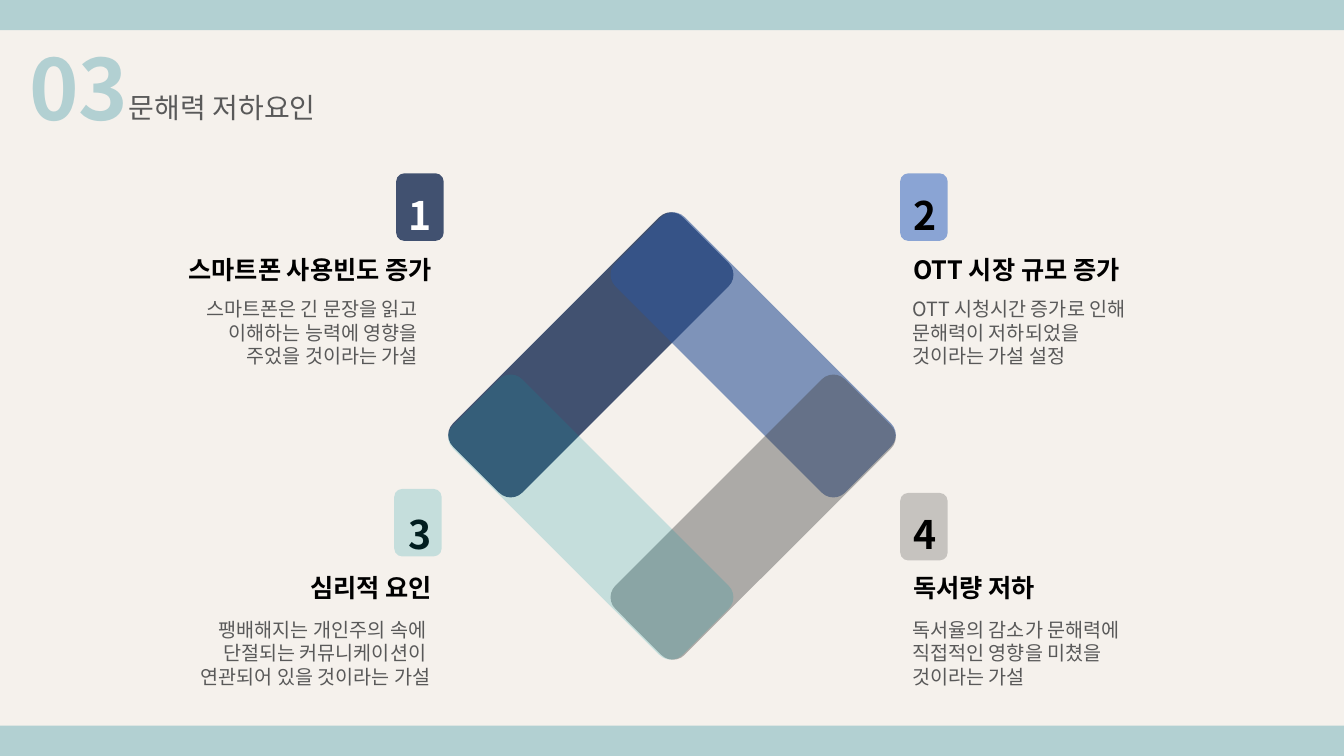
from pptx import Presentation
from pptx import util as u
from pptx.dml.color import RGBColor
from pptx.enum import shapes, text
from pptx.oxml.ns import qn
from lxml import etree

FONT = "Noto Sans CJK KR"
TEAL, GRAY, BLACK, WHITE = "B2D0D2", "595959", "000000", "FFFFFF"
ROUNDED = shapes.MSO_SHAPE.FLOWCHART_ALTERNATE_PROCESS
LEFT, RIGHT = text.PP_ALIGN.LEFT, text.PP_ALIGN.RIGHT
NAVY, BLUE, DEEP_TEAL = ("142A52", 80), ("4472C4", 60), ("05959E", 20)
CHARCOAL = ("0D0D0D", 20)


def rgb(value):
    return RGBColor.from_string(value)


class Deck:
    """Draws on one slide; every box is (left, top, width, height) in percent of the slide."""

    def __init__(self):
        self.prs = Presentation()
        self.prs.slide_width = u.Inches(13.33)
        self.prs.slide_height = u.Inches(7.5)
        self.slide = self.prs.slides.add_slide(self.prs.slide_layouts[6])

    def box(self, left, top, width, height):
        w, h = self.prs.slide_width, self.prs.slide_height
        return [round(share * side / 100)
                for share, side in ((left, w), (top, h), (width, w), (height, h))]

    def block(self, box, color, opacity=100, kind=shapes.MSO_SHAPE.RECTANGLE, rotation=0):
        sp = self.slide.shapes.add_shape(kind, *self.box(*box))
        sp.shadow.inherit = False
        sp.rotation = rotation
        sp.line.fill.background()
        sp.fill.solid()
        sp.fill.fore_color.rgb = rgb(color)
        if opacity < 100:
            clr = sp._element.spPr.find(".//" + qn("a:srgbClr"))
            etree.SubElement(clr, qn("a:alpha")).set("val", str(opacity * 1000))

    def label(self, box, lines, align=LEFT, spacing=None):
        """Each line is (wording, size, colour, bold) and becomes a paragraph."""
        tf = self.slide.shapes.add_textbox(*self.box(*box)).text_frame
        tf.word_wrap = True
        for i, (wording, size, color, bold) in enumerate(lines):
            p = tf.paragraphs[0] if i == 0 else tf.add_paragraph()
            for name, value in {"alignment": align, "line_spacing": spacing}.items():
                setattr(p, name, value)
            r = p.add_run()
            r.text = wording
            style = {"name": FONT, "size": u.Pt(size), "bold": bold}
            for name, value in style.items():
                setattr(r.font, name, value)
            r.font.color.rgb = rgb(color)
            etree.SubElement(r._r.get_or_add_rPr(), qn("a:ea")).set("typeface", FONT)

    def badge(self, left, top, fill):
        self.block((left, top, 3.53, 8.93), *fill, kind=ROUNDED)

    def heading(self, left, top, number, title, number_color, align):
        self.label((left, top, 22.88, 16),
                   [(number, 28, number_color, True), (title, 18, BLACK, True)],
                   align, 1.5)

    def body(self, left, top, width, lines, align):
        self.label((left, top, width, 10.8),
                   [(line, 14, GRAY, False) for line in lines], align)


# number, title, number colour, fill, badge left and top, body left and width, body lines
FACTORS = [
    ("1", "스마트폰 사용빈도 증가", WHITE, NAVY, (29.48, 22.93), (10.65, 21.53),
     ["스마트폰은 긴 문장을 읽고 ", "이해하는 능력에 영향을 ", "주었을 것이라는 가설 "]),
    ("2", "OTT 시장 규모 증가", BLACK, BLUE, (66.98, 22.93), (67.14, 22.2),
     ["OTT 시청시간 증가로 인해 문해력이 저하되었을", "것이라는 가설 설정"]),
    ("3", "심리적 요인", BLACK, DEEP_TEAL, (29.33, 64.67), (7.73, 25.06),
     ["팽배해지는 개인주의 속에 ", "단절되는 커뮤니케이션이 ", "연관되어 있을 것이라는 가설"]),
    ("4", "독서량 저하", BLACK, CHARCOAL, (66.98, 65.2), (67.14, 22.88),
     ["독서율의 감소가 문해력에", "직접적인 영향을 미쳤을", "것이라는 가설"]),
]

# fill and the side of the centre on which each bar lies, clockwise
BARS = [(NAVY, -1, -1), (("2F5597", 60), 1, -1), (("404040", 40), 1, 1), (DEEP_TEAL, -1, 1)]


def main():
    deck = Deck()
    deck.block((0, 0, 100, 100), "E5D8C9", 35)
    for top in (0, 96):
        deck.block((0, top, 100, 4), TEAL)

    deck.label((1.43, 4.13, 12.3, 14.8), [("03", 60, TEAL, True)])
    deck.label((8.85, 11.33, 18.83, 5.87), [("문해력 저하요인", 20, GRAY, False)])

    bar_w, bar_h = 7.28, 42.93
    for i, (fill, side_x, side_y) in enumerate(BARS):
        left = 50 + side_x * 6.04 - bar_w / 2
        top = 57.67 + side_y * 10.73 - bar_h / 2
        deck.block((left, top, bar_w, bar_h), *fill, kind=ROUNDED, rotation=45 + 90 * i)

    for i, (number, title, color, fill, spot, (body_left, body_w), lines) in enumerate(FACTORS):
        row, col = divmod(i, 2)
        align = (RIGHT, LEFT)[col]
        head = (9.98, 67.2)[col], (21.6, 63.73)[row], number, title, color, align
        steps = [(deck.badge, (*spot, fill)), (deck.heading, head)]
        if number == "3":  # this badge tints its number
            steps.reverse()
        for draw, args in steps:
            draw(*args)
        deck.body(body_left, (38.67, 81.07)[row], body_w, lines, align)

    deck.prs.save("out.pptx")


if __name__ == "__main__":
    main()
